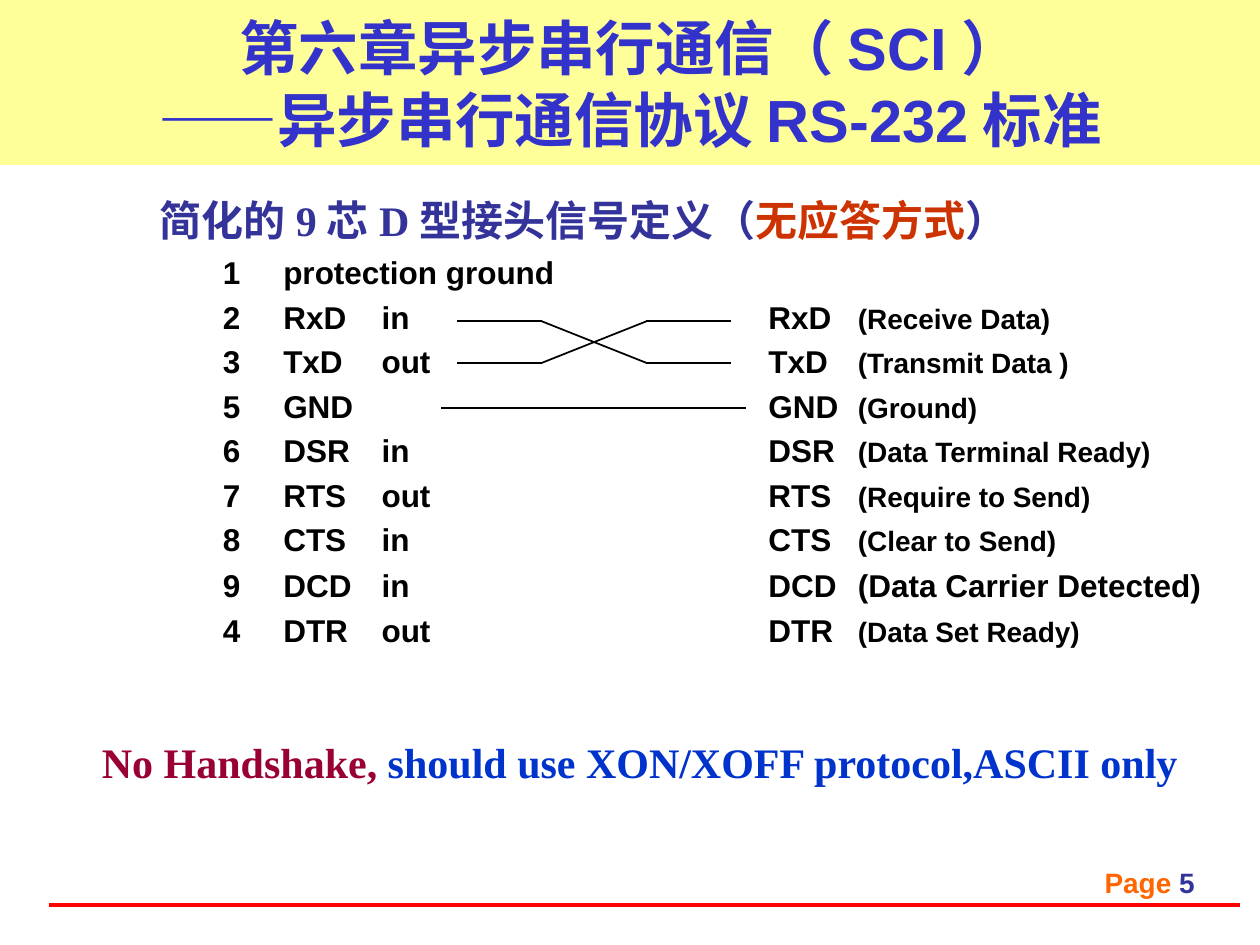
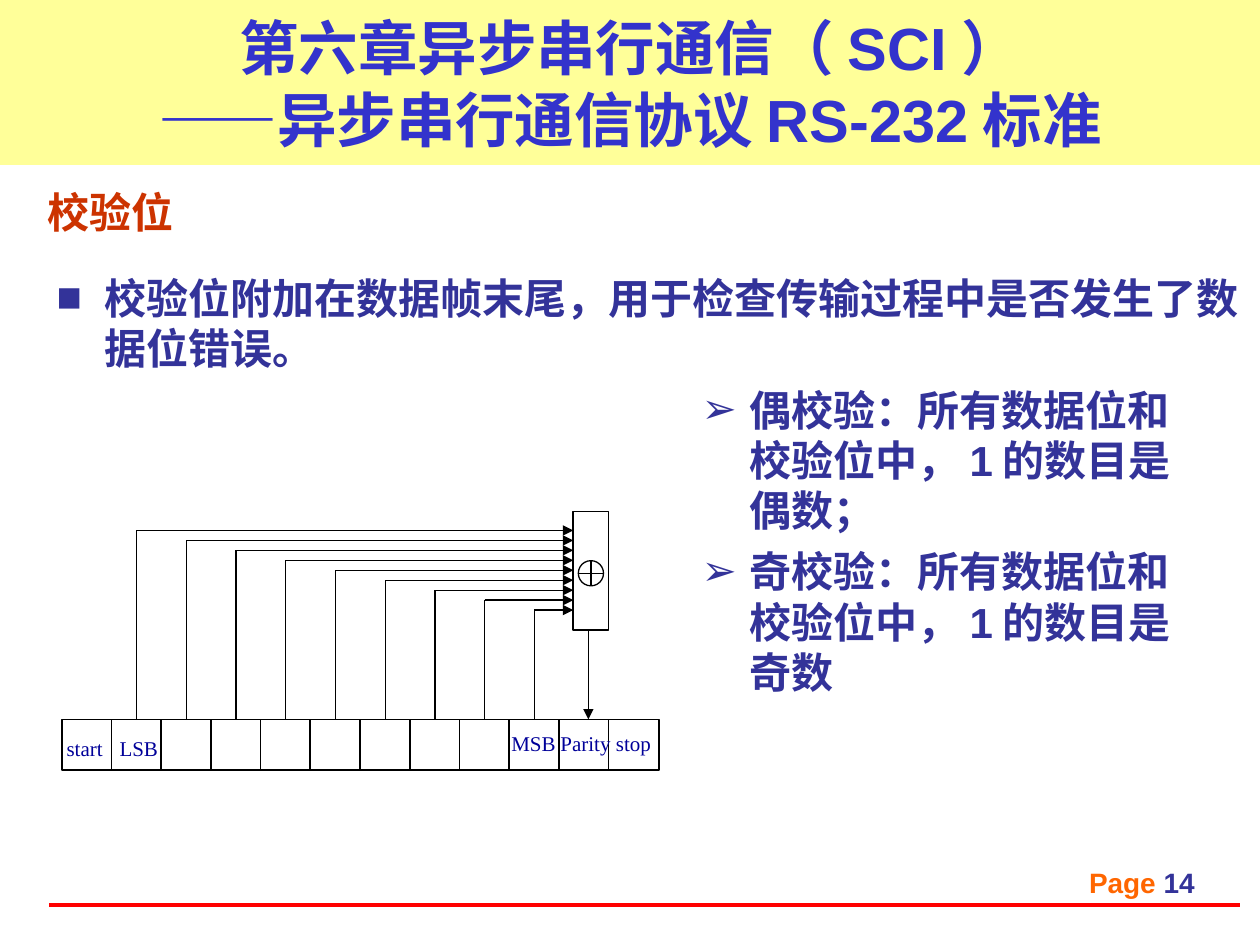
from lxml import etree
from pptx import Presentation
from pptx import util as u
from pptx.dml.color import RGBColor
from pptx.enum import shapes, text
from pptx.oxml import ns

SANS, SERIF = "Arial", "Times New Roman"
BLACK, WHITE = "000000", "FFFFFF"
BAND, TITLE, NAVY, RUST = "FFFF99", "3333CC", "333399", "CC3300"
RED, ORANGE, LABEL = "FF0000", "FF6600", "000099"

PINS = [
    ("1", "protection ground"),
    ("2", "RxD", "in", "RxD", "(Receive Data)"),
    ("3", "TxD", "out", "TxD", "(Transmit Data )"),
    ("5", "GND", "", "GND", "(Ground)"),
    ("6", "DSR", "in", "DSR", "(Data Terminal Ready)"),
    ("7", "RTS", "out", "RTS", "(Require to Send)"),
    ("8", "CTS", "in", "CTS", "(Clear to Send)"),
    ("9", "DCD", "in", "DCD", "(Data Carrier Detected)"),
    ("4", "DTR", "out", "DTR", "(Data Set Ready)"),
]
PIN_TABS = [1, 1.48, 2.26, 5.33, 6.04]


def paint(target, color):
    rgb = RGBColor.from_string(color)
    if hasattr(target, "solid"):
        target.solid()
        target.fore_color.rgb = rgb
    else:
        target.rgb = rgb


def add_child(parent, tag, **attributes):
    return etree.SubElement(parent, ns.qn(tag), attributes)


def add_span(para, words, size, color, font=SANS, bold=True):
    span = para.add_run()
    span.text = words
    span.font.size = u.Pt(size)
    span.font.name = font
    span.font.bold = bold
    paint(span.font.color, color)


def add_box(page, left, top, width, height):
    box = page.shapes.add_textbox(*map(u.Inches, (left, top, width, height)))
    box.text_frame.word_wrap = True
    return box.text_frame


def add_label(page, left, top, width, height, spans, **style):
    frame = add_box(page, left, top, width, height)
    frame.word_wrap = False
    frame.auto_size = text.MSO_AUTO_SIZE.SHAPE_TO_FIT_TEXT
    for words, size, color in spans:
        add_span(frame.paragraphs[0], words, size, color, SERIF, **style)


def add_preset(page, kind, left, top, width, height, fill=None, line=None, weight=1):
    shape = page.shapes.add_shape(kind, *map(u.Inches, (left, top, width, height)))
    shape.shadow.inherit = False
    if fill:
        paint(shape.fill, fill)
    else:
        shape.fill.background()
    if line:
        paint(shape.line.color, line)
        shape.line.width = u.Pt(weight)
    else:
        shape.line.fill.background()
    return shape


def add_line(page, start, end, color=BLACK, weight=1, arrow=False):
    line = page.shapes.add_connector(
        shapes.MSO_CONNECTOR.STRAIGHT, *map(u.Inches, (*start, *end)))
    paint(line.line.color, color)
    line.line.width = u.Pt(weight)
    if arrow:
        add_child(line.line._get_or_add_ln(), "a:tailEnd", type="triangle")
    add_child(line._element.spPr, "a:effectLst")
    return line


def add_bullets(page, left, top, width, height, symbol, items):
    frame = add_box(page, left, top, width, height)
    for index, words in enumerate(items):
        para = frame.add_paragraph() if index else frame.paragraphs[0]
        props = para._p.get_or_add_pPr()
        props.set("marL", str(u.Inches(0.38)))
        props.set("indent", str(u.Inches(-0.38)))
        add_child(add_child(props, "a:buClr"), "a:srgbClr", val=NAVY)
        add_child(props, "a:buFont", typeface=SANS)
        add_child(props, "a:buChar", char=symbol)
        if index:
            para.space_before = u.Pt(6)
        add_span(para, words, 24, NAVY)


def add_page(deck, number):
    page = deck.slides.add_slide(deck.slide_layouts[6])
    band = add_preset(page, shapes.MSO_SHAPE.RECTANGLE, 0, 0, 10, 1.31, BAND)
    band.text_frame.vertical_anchor = text.MSO_ANCHOR.MIDDLE
    para = band.text_frame.paragraphs[0]
    para.alignment = text.PP_ALIGN.CENTER
    add_span(para, "第六章异步串行通信（SCI）", 34, TITLE)
    para.add_line_break()
    add_span(para, "——", 34, TITLE, SERIF)
    add_span(para, "异步串行通信协议RS-232标准", 34, TITLE)

    add_line(page, (0.39, 7.18), (9.84, 7.18), RED, 2.25)
    footer = add_box(page, 6.92, 6.82, 2.66, 0.42).paragraphs[0]
    footer.alignment = text.PP_ALIGN.RIGHT
    add_span(footer, "Page ", 16, ORANGE)
    add_span(footer, str(number), 16, NAVY)
    return page


def add_pin_list(page):
    frame = add_box(page, 0.67, 1.54, 9.02, 3.66)
    heading = frame.paragraphs[0]
    heading._p.get_or_add_pPr().set("marL", str(u.Inches(0.5)))
    heading.line_spacing = 0.9
    for words, color in (("简化的9芯D型接头信号定义（", NAVY),
                         ("无应答方式", RUST), ("）", NAVY)):
        add_span(heading, words, 24, color, SERIF)

    for number, *columns in PINS:
        para = frame.add_paragraph()
        stops = add_child(para._p.get_or_add_pPr(), "a:tabLst")
        for stop in PIN_TABS:
            add_child(stops, "a:tab", pos=str(u.Inches(stop)), algn="l")
        para.line_spacing = 0.9
        para.space_before = u.Pt(6.8 if number in "19" else 6)
        for index, words in enumerate((number, *columns)):
            small = index == 4 and number != "9"
            add_span(para, "\t" + words, 16 if small else 18, BLACK)


def add_crossover(page):
    left, bend_left, bend_right, right = 3.63, 4.3, 5.13, 5.8
    upper, lower = 2.55, 2.88
    for y, other in ((upper, lower), (lower, upper)):
        add_line(page, (left, y), (bend_left, y))
        add_line(page, (bend_left, y), (bend_right, other))
        add_line(page, (bend_right, y), (right, y))
    add_line(page, (3.5, 3.24), (5.92, 3.24))


def add_parity_diagram(page):
    cell_left, cell_top, cell_size, pitch = 0.49, 5.71, 0.4, 4.34 / 11
    gate_left, gate_top, gate_height = 4.55, 4.06, 0.94
    rectangle = shapes.MSO_SHAPE.RECTANGLE
    cells = [add_preset(page, rectangle, cell_left + i * pitch, cell_top,
                        cell_size, cell_size, WHITE, BLACK) for i in range(12)]
    for words, left, top, width in (("start", 0.43, 5.79, 0.49),
                                    ("LSB", 0.85, 5.79, 0.52),
                                    ("MSB", 3.96, 5.75, 0.55),
                                    ("Parity", 4.35, 5.75, 0.6),
                                    ("stop", 4.79, 5.75, 0.48)):
        add_label(page, left, top, width, 0.3, [(words, 12, LABEL)], bold=False)

    for index, cell in enumerate(cells[1:10]):
        x = cell_left + (index + 1) * pitch + cell_size / 2
        y = 4.21 + index * 0.079
        tap = add_line(page, (x, y), (x, cell_top), weight=0.75)
        tap.end_connect(cell, 0)
        add_line(page, (x, y), (gate_left, y), weight=0.75, arrow=True)

    add_preset(page, rectangle, gate_left, gate_top, 0.28, gate_height, line=BLACK)
    add_preset(page, shapes.MSO_SHAPE.FLOWCHART_OR, 4.59, 4.45, 0.2, 0.2,
               line=BLACK, weight=0.75)
    add_line(page, (4.67, gate_top + gate_height), (4.67, cell_top),
             weight=0.75, arrow=True)


def main():
    deck = Presentation()
    deck.slide_width, deck.slide_height = u.Inches(10), u.Inches(7.5)

    page = add_page(deck, 5)
    add_pin_list(page)
    add_crossover(page)
    add_label(page, 0.71, 5.8, 8.75, 0.5, [
        ("No Handshake,", 24, "990033"),
        (" should use XON/XOFF protocol,ASCII only", 24, "0033CC")])

    page = add_page(deck, 14)
    add_label(page, 0.28, 1.43, 1.2, 0.5, [("校验位", 24, RUST)])
    add_bullets(page, 0.35, 2.11, 9.65, 1.41, "■", [
        "校验位附加在数据帧末尾，用于检查传输过程中是否发生了数据位错误。"])
    add_bullets(page, 5.47, 3, 4.22, 3.23, "➢", [
        "偶校验：所有数据位和校验位中，1的数目是偶数；",
        "奇校验：所有数据位和校验位中，1的数目是奇数"])
    add_parity_diagram(page)

    deck.save("out.pptx")


if __name__ == "__main__":
    main()
